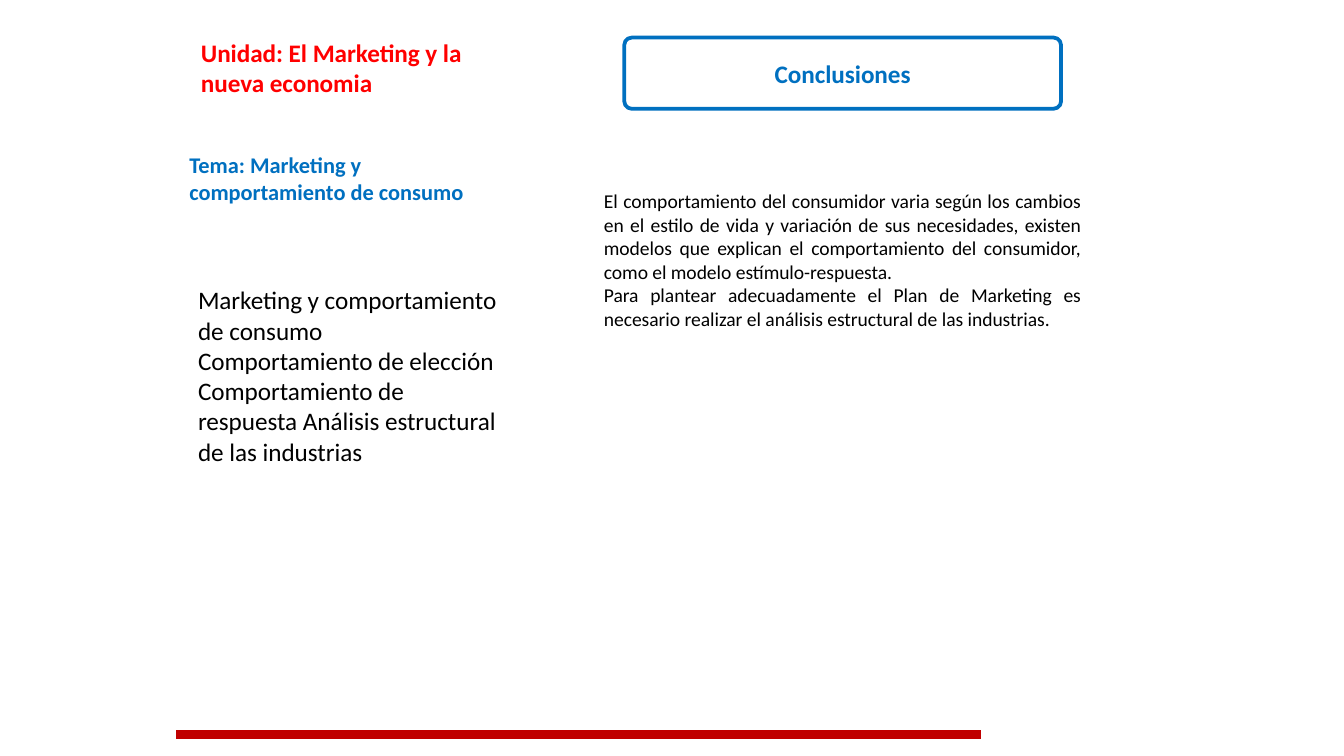
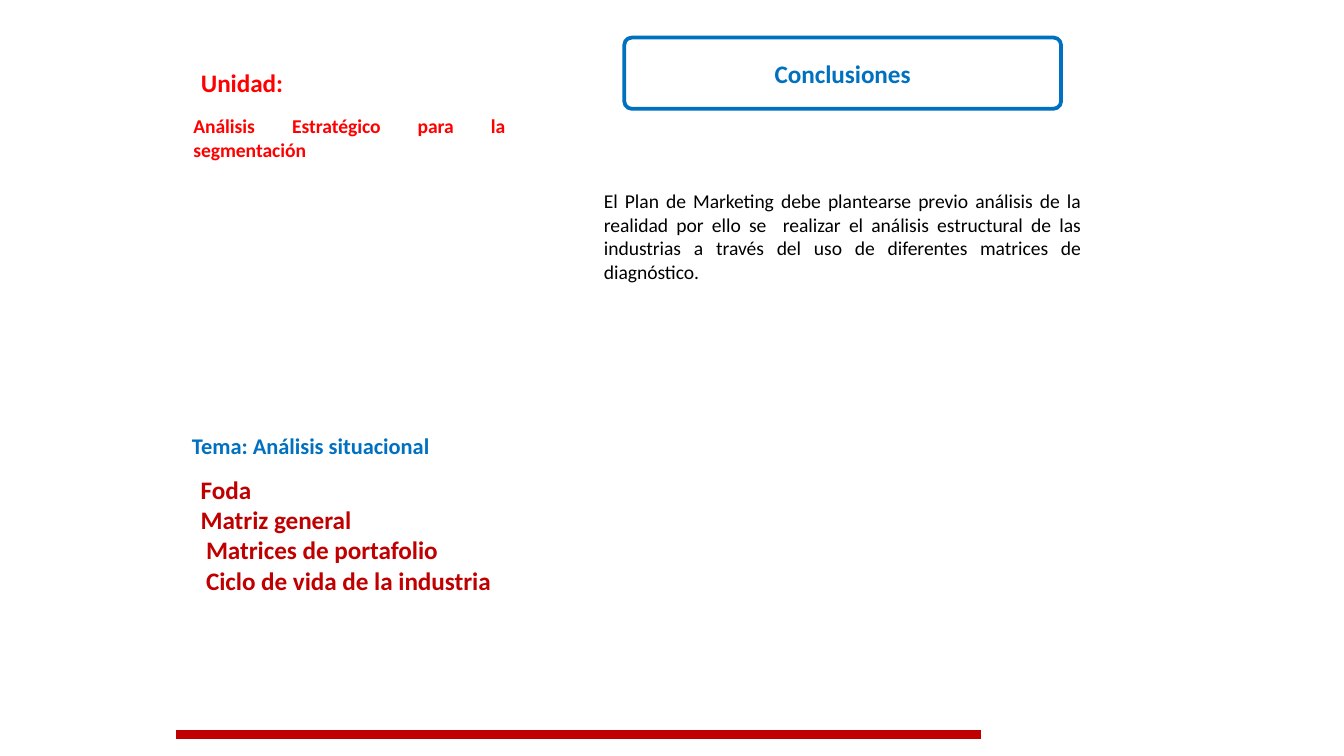
from lxml.etree import SubElement
from pptx import Presentation
from pptx.dml.color import RGBColor
from pptx.enum.shapes import MSO_CONNECTOR, MSO_SHAPE
from pptx.enum.text import MSO_ANCHOR as Anchor, MSO_AUTO_SIZE as AutoSize, PP_ALIGN as Align
from pptx.oxml.ns import qn
from pptx.util import Inches, Pt

COLORS = {"unit": "FF0000", "topic": "0070C0", "accent": "C00000", "body": "000000"}
FONT = "Calibri"
CELL = Inches(0.1)  # the page is a grid of 100 columns by 56.25 rows

deck = Presentation()
deck.slide_width = 100 * CELL
deck.slide_height = int(56.25 * CELL)


def grid(*cells):
    return [round(cell * CELL) for cell in cells]


def write(box, lines, size, color, bold=False, align=Align.LEFT, anchor=Anchor.TOP):
    frame = box.text_frame
    frame.text = "\n".join(lines)
    frame.word_wrap = True
    frame.auto_size = AutoSize.NONE
    frame.vertical_anchor = anchor
    for para in frame.paragraphs:
        para.alignment = align
        for span in para.runs:
            span.font.name = FONT
            span.font.size = Pt(size)
            span.font.bold = bold
            span.font.color.rgb = RGBColor.from_string(COLORS[color])


slides = [
    {
        "unit": "Unidad: El Marketing y la nueva economia",
        "topic": "Tema: Marketing y comportamiento de consumo",
        "topic_at": (13.1, 9.95, 25.8, 5.8),
        "conclusions": [
            "El comportamiento del consumidor varia según los cambios en el estilo de vida "
            "y variación de sus necesidades, existen modelos que explican el comportamiento "
            "del consumidor, como el modelo estímulo-respuesta.",
            "Para plantear adecuadamente el Plan de Marketing es necesario realizar el "
            "análisis estructural de las industrias.",
        ],
        "conclusions_rows": 11.6,
    },
    {
        "unit": "Unidad:",
        "topic": "Tema: Análisis situacional",
        "topic_at": (13.3, 13.45, 25.9, 21.2),
        "conclusions": [
            "El Plan de Marketing debe plantearse previo análisis de la realidad por ello "
            "se  realizar el análisis estructural de las industrias a través del uso de "
            "diferentes matrices de diagnóstico.",
        ],
        "conclusions_rows": 8.1,
    },
]

# Parts that both slides share
pages = []
for content in slides:
    page = deck.slides.add_slide(deck.slide_layouts[5])
    pages.append(page)

    # Unit title
    title = page.shapes.title
    title.left, title.top, title.width, title.height = grid(13.95, 4.45, 25.2, 3.3)
    write(title, [content["unit"]], 13.5, "unit", bold=True, anchor=Anchor.BOTTOM)

    # Topic
    topic = page.shapes.add_textbox(*grid(*content["topic_at"]))
    write(topic, [content["topic"]], 12, "topic", bold=True, anchor=Anchor.BOTTOM)

    # Conclusions heading and text
    heading = page.shapes.add_shape(MSO_SHAPE.ROUNDED_RECTANGLE, *grid(46.45, 2.8, 32.5, 5.3))
    heading.adjustments[0] = 0.105
    heading.shadow.inherit = False
    heading.fill.background()
    heading.line.color.rgb = RGBColor.from_string(COLORS["topic"])
    heading.line.width = Pt(2)
    write(heading, ["Conclusiones"], 13.5, "topic", bold=True,
          align=Align.CENTER, anchor=Anchor.MIDDLE)

    conclusions = page.shapes.add_textbox(*grid(43.95, 13.6, 37.5, content["conclusions_rows"]))
    write(conclusions, content["conclusions"], 10.5, "body", align=Align.JUSTIFY)

    # Footer rule
    rule = page.shapes.add_connector(MSO_CONNECTOR.STRAIGHT, *grid(13.1, 54.65, 73, 54.65))
    rule.line.color.rgb = RGBColor.from_string(COLORS["accent"])
    rule.line.width = Pt(4.5)
    SubElement(rule._element.spPr, qn("a:effectLst"))

consumption_page, analysis_page = pages

# Slide 1: contents of the topic
contents = consumption_page.shapes.add_textbox(*grid(13.75, 20.7, 24.8, 14.6))
write(contents, [
    "Marketing y comportamiento de consumo",
    "Comportamiento de elección Comportamiento de respuesta "
    "Análisis estructural de las industrias",
], 13.5, "body")

# Slide 2: unit name and list of tools
unit_name = analysis_page.shapes.add_textbox(*grid(13.4, 8, 25.2, 5.4))
write(unit_name, ["Análisis Estratégico para la segmentación"], 10.5, "unit",
      bold=True, align=Align.JUSTIFY)

tools = analysis_page.shapes.add_textbox(*grid(13.95, 34.8, 28.6, 10.2))
write(tools, ["Foda", "Matriz general", "Matrices de portafolio", "Ciclo de vida de la industria"],
      13.5, "accent", bold=True, align=Align.JUSTIFY)
for para in tools.text_frame.paragraphs[2:]:
    para._p.get_or_add_pPr().set("marL", str(Inches(0.04)))

deck.save("out.pptx")
